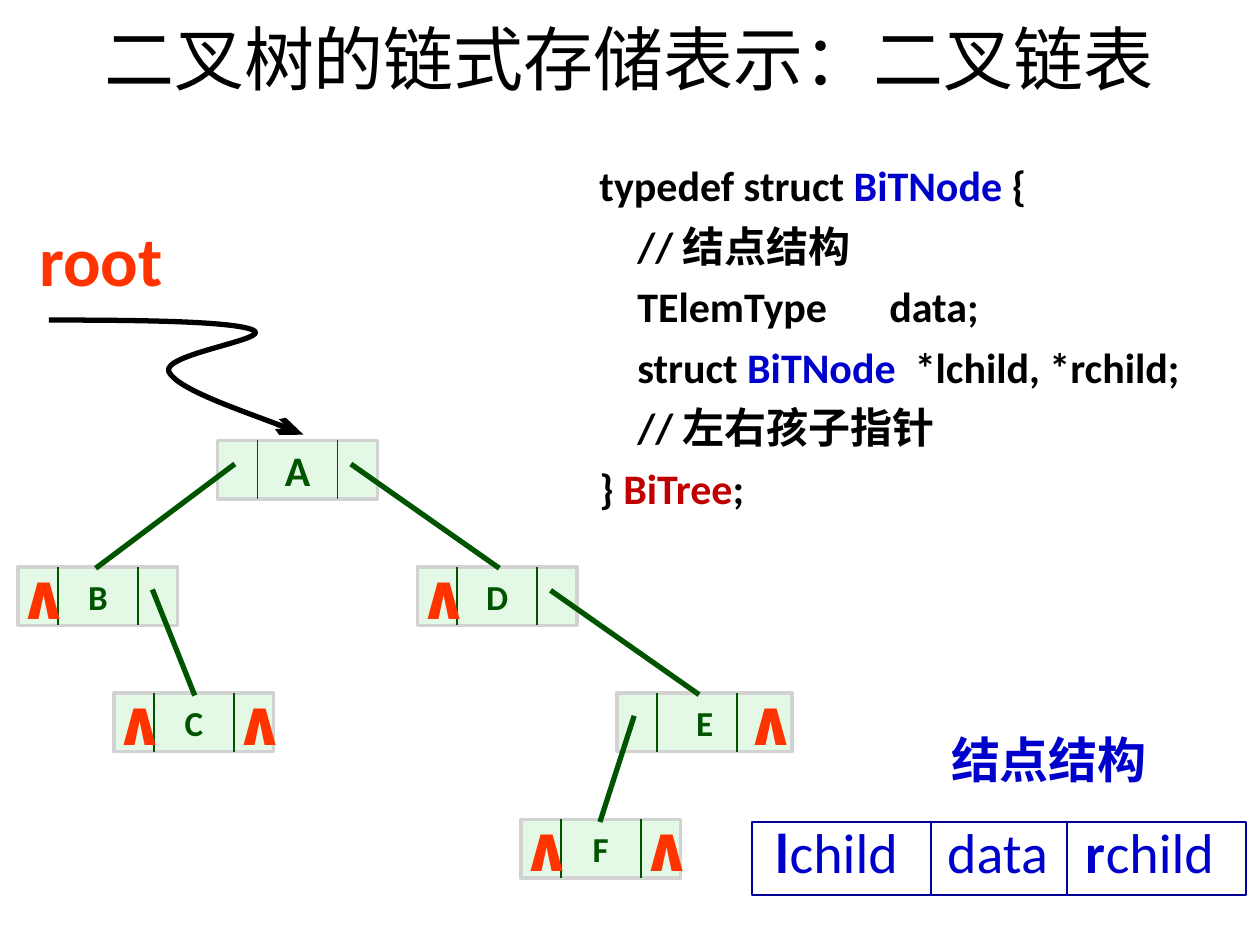
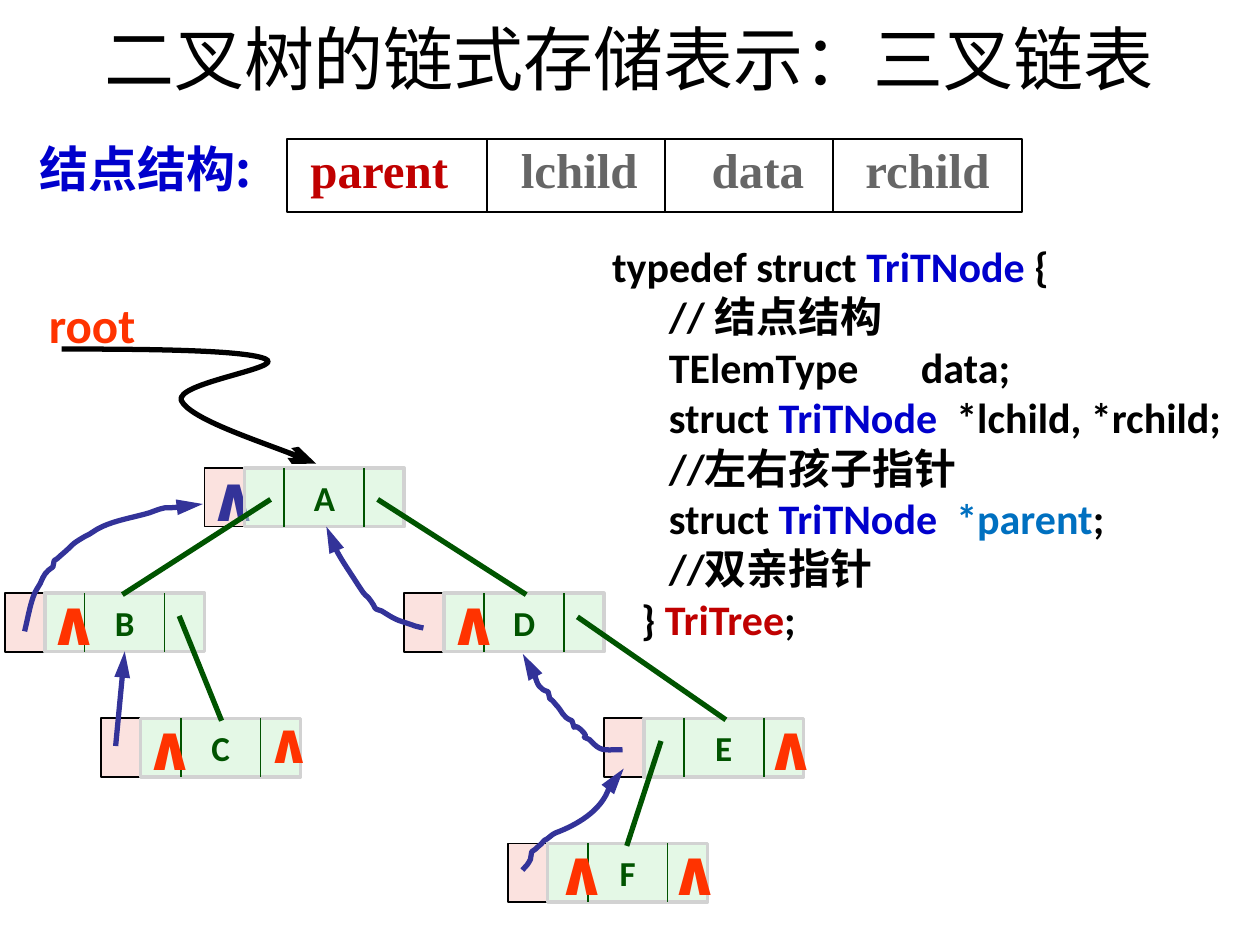
from pptx import Presentation
from pptx.dml.color import RGBColor
from pptx.enum.shapes import MSO_CONNECTOR as CONN, MSO_SHAPE as SHAPE
from pptx.enum.text import MSO_ANCHOR as ANCHOR, PP_ALIGN as ALIGN
from pptx.oxml.ns import qn
from pptx.util import Inches, Pt
from lxml.etree import SubElement

COLS, ROWS = 100, 75
BLACK, BLUE, RED, CRIMSON = "000000", "0000CC", "FF3300", "C00000"
GREEN, MINT, SILVER = "005400", "CAF2CE", "D2D2D2"
NAVY, INDIGO, PINK, GREY, SKY = "000099", "333399", "FBE2DF", "666666", "0070C0"
LATIN, CJK, SERIF = "Calibri", "Noto Sans CJK SC", "Times New Roman"

CELL, NODE_H = 3.17, 4.65
NODE_W = 4 * CELL
OFFSETS = {"A": (0, 0), "D": (15.85, 1), "E": (31.7, 2),
           "B": (-15.85, 1), "C": (-8.23, 2), "F": (24.07, 3)}
EDGES = [("A", "B", "left"), ("A", "D", "right"), ("B", "C", "right"),
         ("D", "E", "right"), ("E", "F", "left")]
ROOT_CURVE = [(0, 0), (7.2, 0), (14.5, 0.1), (16, 0.8), (17.6, 1.5), (8.7, 2.7),
              (9.3, 4.1), (10, 5.5), (18.2, 8.3), (20, 9.1)]


def rgb(hex_text):
    return RGBColor.from_string(hex_text)


class Deck:
    def __init__(self):
        self.prs = Presentation()
        self.prs.slide_width, self.prs.slide_height = Inches(10), Inches(7.5)
        self.s = None

    def x(self, cols):
        return round(self.prs.slide_width * cols / COLS)

    def y(self, rows):
        return round(self.prs.slide_height * rows / ROWS)

    def box(self, x, y, w, h):
        return self.x(x), self.y(y), self.x(w), self.y(h)

    def slide(self, title):
        self.s = self.prs.slides.add_slide(self.prs.slide_layouts[6])
        tf = self.text(4.9, 0, 90, 9.2, [(title, BLACK, False)], 40)
        tf.vertical_anchor = ANCHOR.MIDDLE
        tf.paragraphs[0].alignment = ALIGN.CENTER

    def runs(self, p, parts, size, font=LATIN):
        for text, color, bold in parts:
            r = p.add_run()
            r.text = text
            r.font.size, r.font.bold, r.font.name = Pt(size), bold, font
            r.font.color.rgb = rgb(color)
            if any("一" <= ch <= "龥" for ch in text):
                SubElement(r.font._element, qn("a:ea")).set("typeface", CJK)

    def tabs(self, p, stops):
        tab_list = SubElement(p._p.get_or_add_pPr(), qn("a:tabLst"))
        for cols in stops:
            stop = SubElement(tab_list, qn("a:tab"))
            stop.set("pos", str(self.x(cols)))
            stop.set("algn", "l")

    def text(self, x, y, w, h, parts, size, font=LATIN):
        tf = self.s.shapes.add_textbox(*self.box(x, y, w, h)).text_frame
        tf.word_wrap = True
        self.runs(tf.paragraphs[0], parts, size, font)
        return tf

    def rect(self, x, y, w, h, line, width=1, fill=None, alpha=None):
        sp = self.s.shapes.add_shape(SHAPE.RECTANGLE, *self.box(x, y, w, h))
        sp.shadow.inherit = False
        sp.line.color.rgb, sp.line.width = rgb(line), Pt(width)
        if fill:
            sp.fill.solid()
            sp.fill.fore_color.rgb = rgb(fill)
        else:
            sp.fill.background()
        if alpha:
            clr = sp.fill._xPr.find(qn("a:solidFill"))[0]
            SubElement(clr, qn("a:alpha")).set("val", str(alpha * 1000))
        return sp

    def stroke(self, sp, color, width, head=None, tail=None):
        sp.line.color.rgb, sp.line.width = rgb(color), Pt(width)
        ln = sp.line._get_or_add_ln()
        if width > 1:
            ln.set("cap", "sq")
        for tag, kind in (("a:headEnd", head), ("a:tailEnd", tail)):
            if kind:
                end = SubElement(ln, qn(tag))
                end.set("type", kind)
                end.set("w", "med")
                end.set("len", "lg")

    def line(self, x1, y1, x2, y2, color, width=1, head=None):
        sp = self.s.shapes.add_connector(CONN.STRAIGHT, self.x(x1), self.y(y1),
                                         self.x(x2), self.y(y2))
        self.stroke(sp, color, width, head)
        SubElement(sp._element.spPr, qn("a:effectLst"))

    def curve(self, points, color, head=None, tail=None):
        nodes = [(self.x(x), self.y(y)) for x, y in points]
        fb = self.s.shapes.build_freeform(*nodes[0])
        fb.add_line_segments(nodes[1:], close=False)
        sp = fb.convert_to_shape()
        outline = next(sp._element.iter(qn("a:path")))
        segments = outline.findall(qn("a:lnTo"))
        for i in range(0, len(segments), 3):
            bez = SubElement(outline, qn("a:cubicBezTo"))
            for segment in segments[i:i + 3]:
                bez.append(segment[0])
                outline.remove(segment)
        sp.shadow.inherit = False
        sp.fill.background()
        self.stroke(sp, color, 3, head, tail)

    def root_pointer(self, x, y):
        self.curve([(x + dx, y + dy) for dx, dy in ROOT_CURVE], BLACK, tail="arrow")

    def null(self, x, y, color=RED, size=36):
        self.text(x, y, 5.1, 7.1, [("∧", color, True)], size)

    def record(self, x, y, w, dividers, line):
        self.rect(x, y, w, 5.8, line)
        for cx in dividers:
            self.line(cx, y, cx, y + 5.8, line)

    def node(self, x, y, name, w=NODE_W, size=20):
        sp = self.rect(x, y, w, NODE_H, SILVER, 2, MINT, 50)
        tf = sp.text_frame
        tf.word_wrap, tf.vertical_anchor = False, ANCHOR.MIDDLE
        p = tf.paragraphs[0]
        p.alignment = ALIGN.CENTER
        self.runs(p, [(name, GREEN, True)], size)
        for cx in (x + CELL, x + 3 * CELL):
            self.line(cx, y, cx, y + NODE_H, GREEN)

    def tree(self, places, nulls, root_port, special):
        for name, (x, y) in places.items():
            self.node(x, y, name, **special.get(name, {}))
        for name, dx, size in nulls:
            x, y = places[name]
            self.null(x + dx, y - 1.33, size=size)
        for parent, child, side in EDGES:
            (px, py), (cx, cy) = places[parent], places[child]
            dx, dy = root_port if parent == "A" else (1.3, 2)
            if side == "right":
                dx = 10.75
            self.line(px + dx, py + dy, cx + NODE_W / 2, cy, GREEN, 3)

    def code(self, x, y, w, h, lines, colors, spacing, tab):
        tf = self.text(x, y, w, h, [], 24)
        for i, (indent, *parts) in enumerate(lines):
            p = tf.add_paragraph() if i else tf.paragraphs[0]
            p.line_spacing = spacing
            self.runs(p, [(t, colors.get(t.strip(), BLACK), True) for t in parts], 24)
            pPr = p._p.get_or_add_pPr()
            pPr.set("marL", str(self.x(indent)))
            pPr.set("indent", "0")
            if any("\t" in t for t in parts):
                self.tabs(p, [tab])


def places_from(x, y, pitch):
    return {name: (x + dx, y + level * pitch) for name, (dx, level) in OFFSETS.items()}


def binary_list(d):
    d.slide("二叉树的链式存储表示：二叉链表")
    tf = d.text(60.6, 64.4, 38.4, 6.4, [
        ("l", BLUE, True), ("child\tdata\t", BLUE, False),
        ("r", BLUE, True), ("child", BLUE, False)], 32)
    d.tabs(tf.paragraphs[0], [13.6, 24.6])
    d.record(59.7, 65.25, 39.2, (73.9, 84.7), NAVY)
    d.text(74.5, 57.4, 19, 5.7, [("结点结构", BLUE, True)], 28)
    nulls = [(name, -0.9, 36) for name in "BCDF"]
    nulls += [("C", 8.6, 36), ("F", 8.6, 36), ("E", 9.2, 36)]
    d.tree(places_from(17.27, 34.95, 10.03), nulls, (1.2, 2),
           {"A": {"size": 24}, "E": {"w": 13.9}})
    d.root_pointer(4.1, 25.4)
    d.text(2.15, 16.7, 14, 7.7, [("root", RED, True)], 40)
    d.code(46.6, 11.4, 52.3, 30.1, [
        (0, "typedef struct ", "BiTNode ", "{"),
        (3, "// 结点结构"),
        (3, "TElemType\tdata;"),
        (3, "struct ", "BiTNode", "  *lchild, *rchild;"),
        (3, "// 左右孩子指针"),
        (0, "} ", "BiTree", ";"),
    ], {"BiTNode": BLUE, "BiTree": CRIMSON}, 1.2, 22.2)


def triple_list(d):
    d.slide("二叉树的链式存储表示：三叉链表")
    d.root_pointer(5.1, 27.7)
    d.text(2.9, 22.9, 12, 5.7, [("root", RED, True)], 28)
    places = places_from(19.4, 37.15, 9.93)
    for x, y in places.values():
        d.rect(x - CELL, y, CELL, NODE_H, BLACK, fill=PINK)
    d.null(15.6, 35.9, INDIGO)
    nulls = [(name, -0.65, 36) for name in "BCD"]
    nulls += [("F", -0.3, 36), ("F", 8.7, 36), ("E", 8.7, 36), ("C", 9, 32)]
    d.tree(places, nulls, (1.9, 2.6), {})

    b_to_a = [(2, 49.9), (2.2, 49.1), (2.5, 47.4), (2.9, 46.8), (3, 46.6), (3.1, 46.5),
              (3.2, 46.3), (3.5, 45.6), (3.6, 45.4), (4.2, 45), (4.4, 44.1),
              (4.1, 44.8), (4.8, 44.1), (6, 43.1), (5.5, 43.3), (6.7, 42.6),
              (7.2, 42.4), (7.6, 42), (8.1, 41.8), (9.2, 41.3), (10.4, 41.1),
              (11.5, 40.8), (12, 40.7), (12.5, 40.4), (13.1, 40.3), (13.8, 40.3),
              (14.5, 40.2), (15.3, 40.2), (15.5, 40.1), (16.1, 40), (16.1, 40)]
    a_from_d = [(25.9, 41.8), (26.4, 43.5), (27.5, 45), (28.4, 46.4), (28.6, 46.6),
                (28.6, 46.8), (28.8, 47), (28.9, 47.2), (29.1, 47.3), (29.2, 47.4),
                (30.1, 48.5), (29.4, 48.2), (30.3, 48.5), (30.8, 48.8), (31.2, 49.1),
                (31.8, 49.3), (32.1, 49.4), (32.4, 49.5), (32.7, 49.6), (32.9, 49.7),
                (33.4, 49.8), (33.4, 49.8)]
    d_from_e = [(41.5, 51.9), (41.7, 52.7), (41.8, 53), (42.4, 53.4), (42.6, 54.2),
                (42.8, 54.7), (43.5, 54.9), (43.8, 56), (43.4, 55), (44.1, 55.9),
                (44.7, 56.5), (44.6, 56.9), (45.4, 57.2), (45.8, 58.4), (45.3, 57.2),
                (46.1, 57.9), (47.1, 58.9), (45.7, 58.2), (46.8, 58.7), (47.7, 59.7),
                (47.9, 59.5), (49.2, 59.5)]
    e_from_f = [(49.5, 61), (48.8, 62.3), (49.3, 62), (48.4, 62.3), (47.9, 64.3),
                (45.7, 65.5), (44.1, 66.1), (43.8, 66.2), (43.5, 66.6), (43.2, 66.7),
                (43, 66.9), (42.9, 67.1), (42.7, 67.2), (42.6, 67.4), (42.4, 67.4),
                (42.2, 67.6), (42.1, 67.8), (42.2, 68), (42.1, 68.2), (41.9, 68.6),
                (41.8, 68.7), (41.6, 68.9)]
    d.curve(b_to_a, INDIGO, tail="triangle")
    d.line(9.9, 51.7, 9.2, 59, INDIGO, 3, "triangle")
    for points in (a_from_d, d_from_e, e_from_f):
        d.curve(points, INDIGO, head="triangle")

    tf = d.text(23.65, 10.6, 57.5, 5.7, [
        ("parent\t", CRIMSON, True), ("lchild\tdata\trchild", GREY, True)], 28, SERIF)
    d.tabs(tf.paragraphs[0], [16.7, 31.85, 44.05])
    d.record(22.8, 11.05, 58.3, (38.63, 52.8, 66.1), BLACK)
    d.text(2.15, 10.5, 20.5, 5.7, [("结点结构:", BLUE, True)], 28, CJK)
    d.code(47.6, 18.6, 52, 33.3, [
        (0, "typedef struct ", "TriTNode", " {"),
        (4.5, "// 结点结构"),
        (4.5, "TElemType\tdata;"),
        (4.5, "struct ", "TriTNode", "  *lchild, *rchild;"),
        (4.5, "//左右孩子指针"),
        (4.5, "struct ", "TriTNode  ", "*parent", ";"),
        (4.5, "//双亲指针"),
        (2.3, "} ", "TriTree", ";"),
    ], {"TriTNode": BLUE, "*parent": SKY, "TriTree": CRIMSON}, 1.0, 25.3)


def main():
    d = Deck()
    binary_list(d)
    triple_list(d)
    d.prs.save("out.pptx")


if __name__ == "__main__":
    main()
